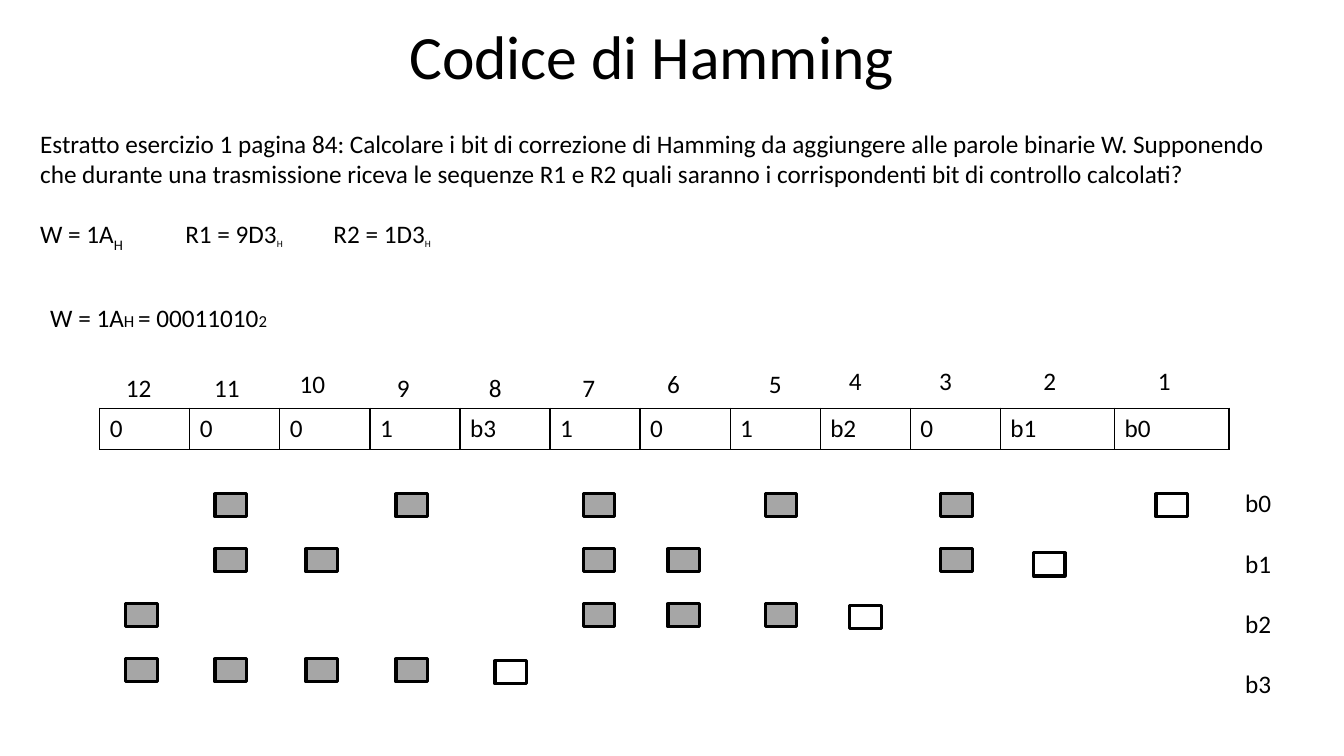
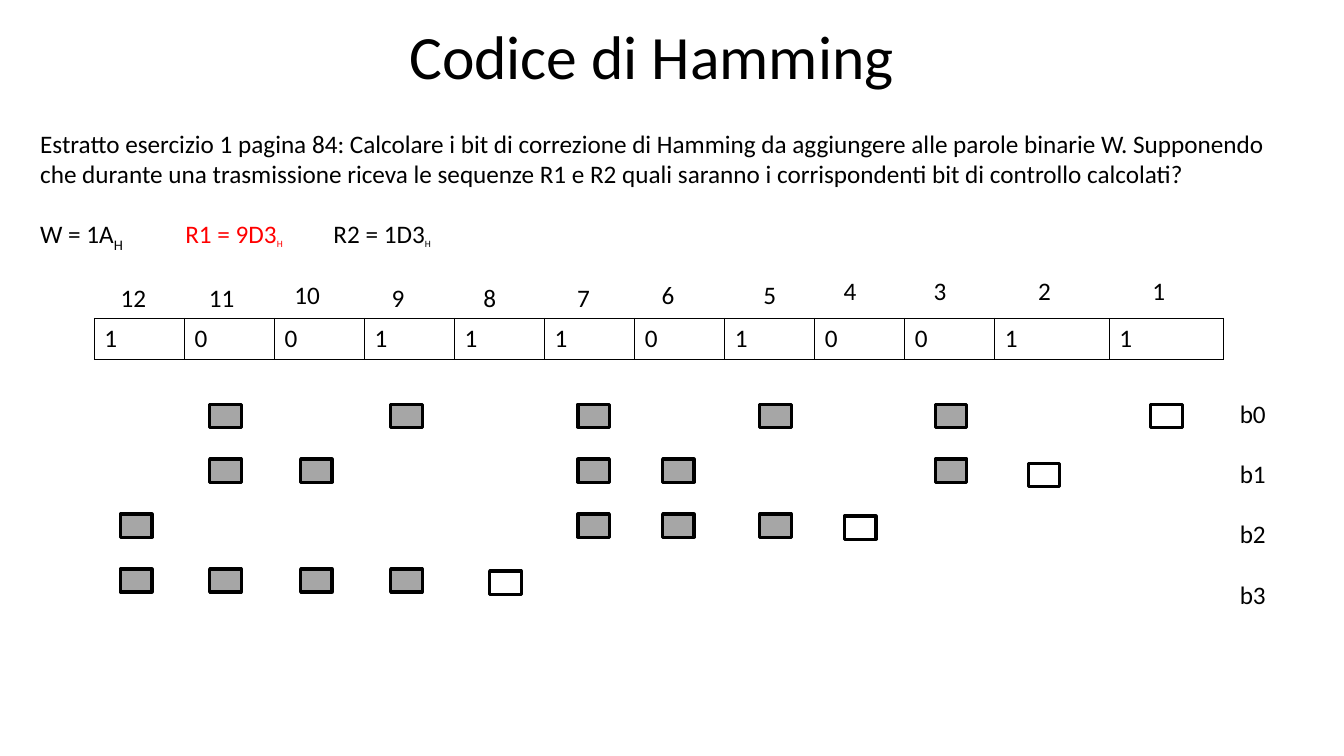
import lxml.etree
import pptx
import pptx.dml.color
import pptx.enum.shapes
import pptx.enum.text
import pptx.oxml.ns
import pptx.util

SLIDE_W = pptx.util.Inches(13.333)
SLIDE_H = pptx.util.Inches(7.5)
COLUMN = SLIDE_W / 40
ROW = SLIDE_H / 30
CELL_W = 2.68 * COLUMN
CELL_H = 1.64 * ROW

BLACK = pptx.dml.color.RGBColor(0x00, 0x00, 0x00)
RED = pptx.dml.color.RGBColor(0xFF, 0x00, 0x00)
GREY = pptx.dml.color.RGBColor(0xA6, 0xA6, 0xA6)
FONT = "Calibri"
BODY = 18
SMALL = 12
SUBSCRIPT = -25
BLANK_LINE = pptx.util.Pt(21.5)

TITLE = "Codice di Hamming"
QUESTION = (
    "Estratto esercizio 1 pagina 84: Calcolare i bit di correzione di Hamming da "
    "aggiungere alle parole binarie W. Supponendo che durante una trasmissione riceva "
    "le sequenze R1 e R2 quali saranno i corrispondenti bit di controllo calcolati?"
)
CHECK_BITS = ["b0", "b1", "b2", "b3"]
NUMBER_CENTRES = {12: 0.48, 11: 1.46, 10: 2.41, 9: 3.49, 8: 4.51, 7: 5.55,
                  6: 6.49, 5: 7.62, 4: 8.51, 3: 9.51, 2: 10.67, 1: 11.94}
NUMBER_TOPS = {-1.17: (1, 2, 3, 4), -1.08: (5, 6, 10), -1.0: (7, 8, 9, 11, 12)}
MARK_CENTRES = {12: 0.46, 11: 1.45, 10: 2.46, 9: 3.46, 8: 4.56, 7: 5.54,
                6: 6.48, 5: 7.56, 4: 8.5, 3: 9.51, 2: 10.54, 1: 11.9}
CHECK_DROPS = [0, 0.1, 0.05, 0.05]


def slide_box(left, top, width, height):
    """Turn columns and rows of the slide grid into a box."""
    return [round(n) for n in (left * COLUMN, top * ROW, width * COLUMN, height * ROW)]


def board_box(origin, left, top, width, height):
    """Turn cells counted from the board's origin into a box."""
    return [round(origin[0] + left * CELL_W), round(origin[1] + top * CELL_H),
            round(width * CELL_W), round(height * CELL_H)]


def style(font, size=BODY, color=BLACK):
    """Set the common typeface with a size and colour."""
    font.name = FONT
    font.size = pptx.util.Pt(size)
    font.color.rgb = color


def add_text(slide, box, paragraphs):
    """Add a wrapping text box and return its paragraphs."""
    frame = slide.shapes.add_textbox(*box).text_frame
    frame.word_wrap = True
    frame.auto_size = pptx.enum.text.MSO_AUTO_SIZE.SHAPE_TO_FIT_TEXT
    frame.text = "\n".join(paragraphs)
    for index, paragraph in enumerate(frame.paragraphs):
        if index:
            paragraph.space_before = BLANK_LINE
    return frame.paragraphs


def add_run(paragraph, text, size=BODY, color=BLACK, baseline=0):
    """Append a run, lowered when a baseline is given."""
    run = paragraph.add_run()
    run.text = text
    style(run.font, size, color)
    if baseline:
        run.font._element.set("baseline", str(baseline * 1000))


def add_title(slide, box):
    """Place and format the title placeholder."""
    title = slide.shapes.title
    title.left, title.top, title.width, title.height = box
    title.text_frame.text = TITLE
    title.text_frame.vertical_anchor = pptx.enum.text.MSO_ANCHOR.MIDDLE
    heading = title.text_frame.paragraphs[0]
    heading.alignment = pptx.enum.text.PP_ALIGN.LEFT
    heading.line_spacing = 0.9
    style(heading.font, 44)


def add_question(slide, box, r1_color):
    """Write the exercise and the three given words."""
    question, words = add_text(slide, box, [QUESTION, ""])
    style(question.font)
    stops = lxml.etree.SubElement(words._p.get_or_add_pPr(), pptx.oxml.ns.qn("a:tabLst"))
    for stop in (4.32, 8.73):
        lxml.etree.SubElement(stops, pptx.oxml.ns.qn("a:tab"),
                              pos=str(round(stop * COLUMN)), algn="l")
    for text, size, color in (("W = 1A", BODY, BLACK), ("\tR1 = 9D3", SMALL, r1_color),
                              ("\tR2 = 1D3", SMALL, BLACK)):
        add_run(words, text, color=color)
        add_run(words, "H", size, color, SUBSCRIPT)


def add_conversion(slide, box):
    """Write W in binary."""
    conversion = add_text(slide, box, [""])[0]
    for text, size in (("W = 1A", BODY), ("H ", SMALL), ("= 00011010", BODY), ("2", SMALL)):
        add_run(conversion, text, size)


def add_border(cell):
    """Draw a black line on each side of a table cell."""
    properties = cell._tc.get_or_add_tcPr()
    for side in ("a:lnL", "a:lnR", "a:lnT", "a:lnB"):
        line = lxml.etree.SubElement(properties, pptx.oxml.ns.qn(side),
                                     w=str(pptx.util.Pt(1)))
        fill = lxml.etree.SubElement(line, pptx.oxml.ns.qn("a:solidFill"))
        lxml.etree.SubElement(fill, pptx.oxml.ns.qn("a:srgbClr"), val=str(BLACK))


def add_bits(slide, box, bits):
    """Add a one-row table of bits in equal columns."""
    table = slide.shapes.add_table(1, len(bits), *box).table
    table.first_row = False
    table.horz_banding = False
    for cell, bit in zip(table.iter_cells(), bits):
        cell.text = bit
        style(cell.text_frame.paragraphs[0].font)
        add_border(cell)
        cell.fill.background()


def add_mark(slide, box, is_check):
    """Add a mark: hollow for the check bit, grey for a covered bit."""
    mark = slide.shapes.add_shape(pptx.enum.shapes.MSO_SHAPE.RECTANGLE, *box)
    mark.shadow.inherit = False
    mark.line.color.rgb = BLACK
    mark.line.width = pptx.util.Pt(2.25)
    if is_check:
        mark.fill.background()
    else:
        mark.fill.solid()
        mark.fill.fore_color.rgb = GREY


def add_board(slide, origin, bits):
    """Build the numbered bits and the coverage of each check bit."""
    add_bits(slide, board_box(origin, 0, 0, 10, 1), bits[:10])
    add_bits(slide, board_box(origin, 10, 0, 2.54, 1), bits[10:])
    for top, positions in NUMBER_TOPS.items():
        for position in positions:
            left = NUMBER_CENTRES[position] - 0.3
            number = add_text(slide, board_box(origin, left, top, 0.6, 0.98), [str(position)])
            style(number[0].font)
    for label in add_text(slide, board_box(origin, 12.61, 1.8, 0.81, 5.41), CHECK_BITS):
        style(label.font)
    for index, drop in enumerate(CHECK_DROPS):
        check = 2 ** index
        for position, centre in MARK_CENTRES.items():
            if position & check:
                top = 2.07 + 1.33 * index + (drop if position == check else 0)
                add_mark(slide, board_box(origin, centre - 0.17, top, 0.35, 0.56),
                         position == check)


def add_exercise(deck, bits, column, row, r1_color=BLACK):
    """Build a slide with the exercise and one board, and return it."""
    slide = deck.slides.add_slide(deck.slide_layouts[5])
    add_title(slide, slide_box(11.88, 0.68, 16.2, 3.4))
    add_question(slide, slide_box(0.9, 4.88, 38.1, 6.48), r1_color)
    add_board(slide, (column * COLUMN, row * ROW), bits)
    return slide


def main():
    """Build and save the deck."""
    deck = pptx.Presentation()
    deck.slide_width, deck.slide_height = SLIDE_W, SLIDE_H
    encoding = add_exercise(deck, "0 0 0 1 b3 1 0 1 b2 0 b1 b0".split(), 2.97, 16.2)
    add_conversion(encoding, slide_box(1.2, 11.8, 9, 1.6))
    add_exercise(deck, list("100111010011"), 2.81, 12.64, RED)
    deck.save("out.pptx")


if __name__ == "__main__":
    main()
